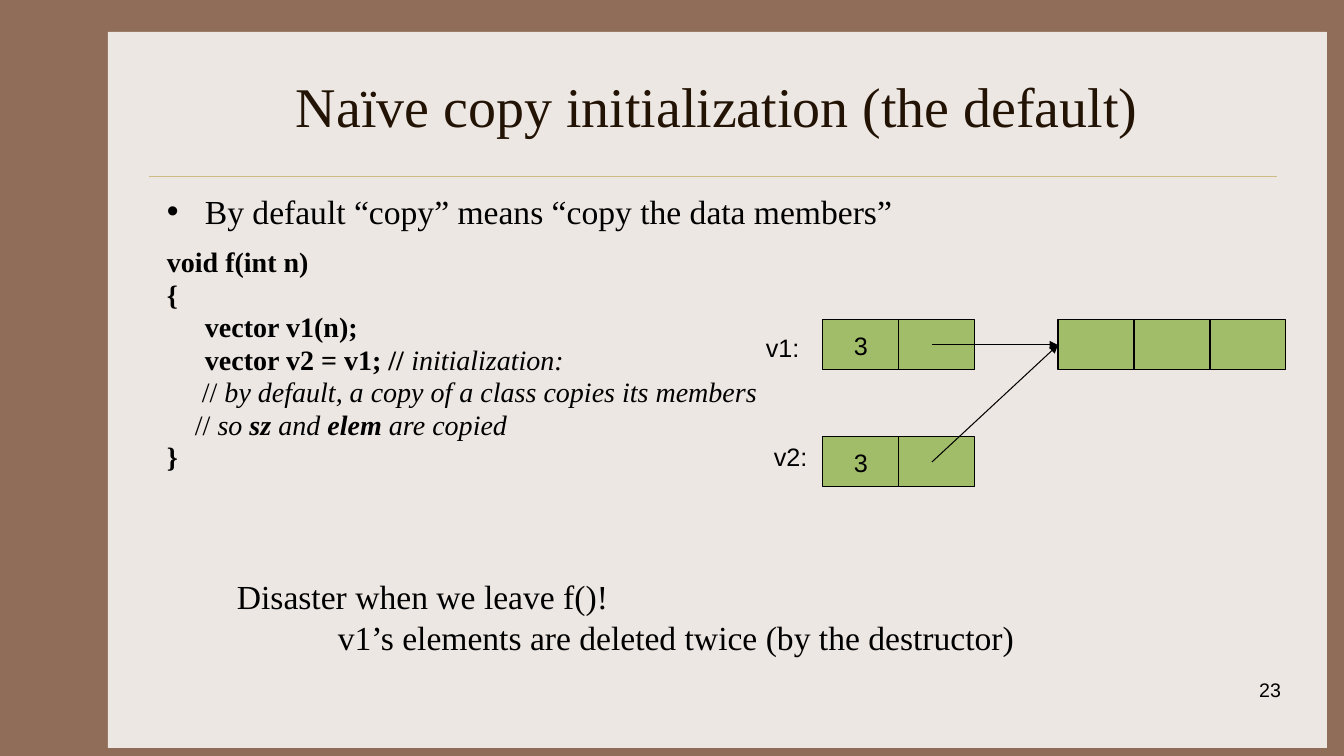
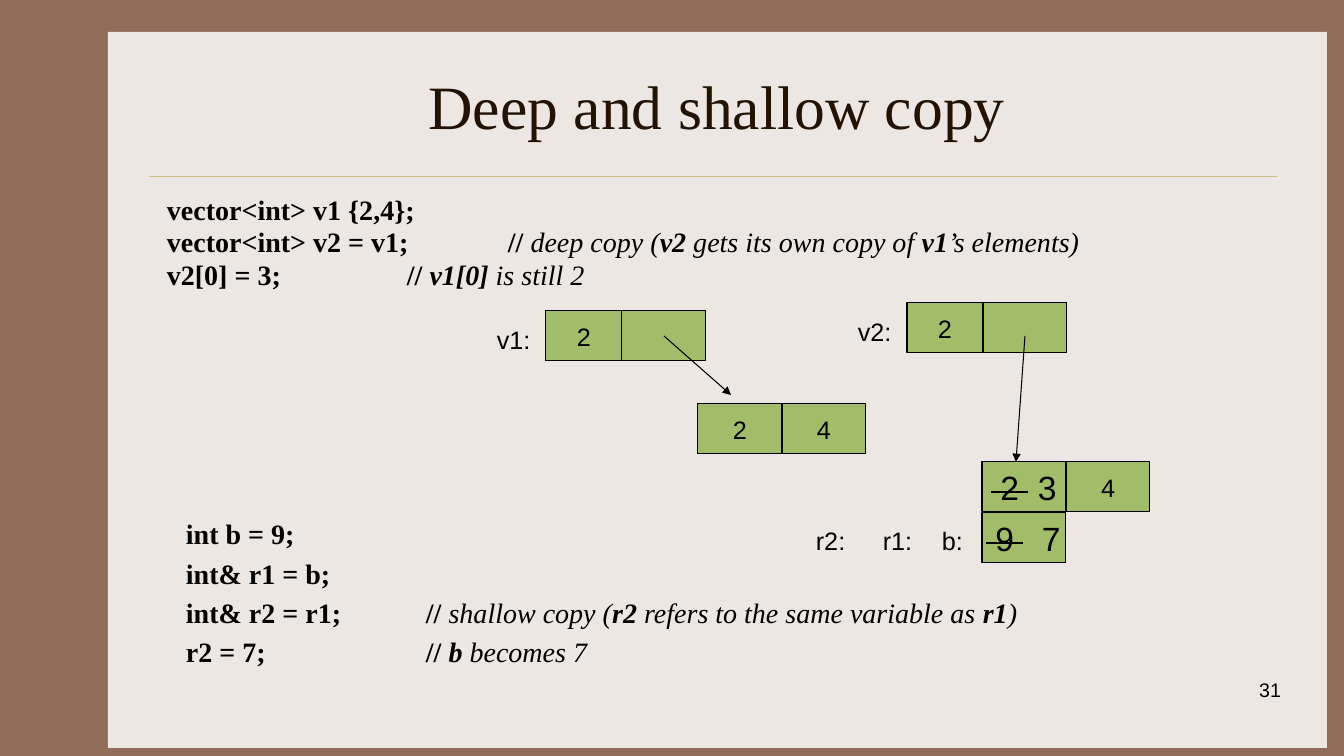
from dataclasses import dataclass

from lxml.etree import SubElement
from pptx import Presentation
from pptx.dml.color import RGBColor
from pptx.enum.shapes import MSO_CONNECTOR as Connector, MSO_SHAPE as Shape
from pptx.enum.text import MSO_ANCHOR as Anchor, PP_ALIGN as Align
from pptx.oxml.ns import qn
from pptx.util import Emu, Pt

SCALE = 914400 / 100.8
COLORS = {
    "frame": "906D58",
    "panel": "EDE7E3",
    "rule": "CBBD83",
    "title": "221304",
    "text": "000000",
    "cell": "A1BD69",
}
SERIF, SANS = "Times New Roman", "Arial"
CELL_W, WIDE_W, CELL_H = 76, 84, 50
BODY = (157, 194, 1120, 454)
HANG, CODE_TAB, CODE_GAP = 38, 101, 4


@dataclass
class Line:
    """One paragraph; each run is a text and its style letters (b, i, s)."""
    runs: list
    size: int = 20
    font: str = SERIF
    color: str = "text"
    align: Align = Align.LEFT
    indent: int = 0
    hang: int = 0
    tab: int = CODE_TAB
    before: float = 0
    spacing: float = 1
    bullet: str = ""


def px(length):
    return Emu(round(length * SCALE))


def rgb(name):
    return RGBColor.from_string(COLORS[name])


# Text
def write_line(paragraph, line):
    paragraph.alignment = line.align
    paragraph.line_spacing = line.spacing
    paragraph.space_before = Pt(line.before)
    for text, style in line.runs:
        run = paragraph.add_run()
        run.text = text
        font = run.font
        font.name, font.size = line.font, Pt(line.size)
        font.bold, font.italic = "b" in style, "i" in style
        font.color.rgb = rgb(line.color)
        if "s" in style:
            run._r.get_or_add_rPr().set("strike", "sngStrike")
    props = paragraph._p.get_or_add_pPr()
    props.set("marL", str(px(line.indent + line.hang)))
    props.set("indent", str(px(-line.hang)))
    props.set("defTabSz", str(px(line.tab)))
    if line.bullet:
        SubElement(props, qn("a:buFont"), typeface=SANS)
        SubElement(props, qn("a:buChar"), char=line.bullet)


def write_lines(frame, lines):
    for number, line in enumerate(lines):
        paragraph = frame.add_paragraph() if number else frame.paragraphs[0]
        write_line(paragraph, line)


def add_text(slide, box, lines, anchor=Anchor.TOP):
    frame = slide.shapes.add_textbox(*map(px, box)).text_frame
    frame.word_wrap = True
    frame.vertical_anchor = anchor
    write_lines(frame, lines)


def add_label(slide, left, top, name):
    add_text(slide, (left, top, 67, 40), [Line([(name, "")], 18, SANS)])


# Shapes
def add_rect(slide, box, fill, outlined=False):
    rect = slide.shapes.add_shape(Shape.RECTANGLE, *map(px, box))
    rect.shadow.inherit = False
    rect.fill.solid()
    rect.fill.fore_color.rgb = rgb(fill)
    if outlined:
        rect.line.color.rgb = rgb("text")
        rect.line.width = Pt(0.75)
    else:
        rect.line.fill.background()
    return rect


def add_line(slide, start, end, color="text", width=0.75, arrow=True):
    line = slide.shapes.add_connector(
        Connector.STRAIGHT, *map(px, (*start, *end)))
    line.line.color.rgb = rgb(color)
    line.line.width = Pt(width)
    if arrow:
        SubElement(line.line._get_or_add_ln(), qn("a:tailEnd"), type="triangle")
    SubElement(line._element.spPr, qn("a:effectLst"))


def add_cell(slide, left, top, width):
    """One memory cell; returns its text frame."""
    cell = add_rect(slide, (left, top, width, CELL_H), "cell", True)
    frame = cell.text_frame
    frame.word_wrap = False
    frame.vertical_anchor = Anchor.MIDDLE
    return frame


def add_cells(slide, left, top, widths, values):
    """A row of touching memory cells, from left to right."""
    for width, value in zip(widths, values):
        frame = add_cell(slide, left, top, width)
        if value:
            write_lines(frame, [Line([(value, "")], 18, SANS, align=Align.CENTER)])
        left += width


def add_replaced_cell(slide, left, top, old, new, inset, tab):
    """A cell whose old value is struck out, next to the new one."""
    frame = add_cell(slide, left, top, WIDE_W)
    frame.margin_left, frame.margin_right = px(inset), 0
    runs = [(f" {old} ", "s"), (f"\t{new}", "")]
    write_lines(frame, [Line(runs, 24, SANS, tab=tab)])


# Shared slide frame
def add_slide(deck, title, title_size, number):
    slide = deck.slides.add_slide(deck.slide_layouts[6])
    slide.background.fill.solid()
    slide.background.fill.fore_color.rgb = rgb("frame")
    add_rect(slide, (108, 32, 1219, 716), "panel")
    add_line(slide, (149, 176), (1277, 176), "rule", 0.25, arrow=False)
    heading = Line([(title, "")], title_size, color="title", align=Align.CENTER)
    add_text(slide, (157, 42, 1120, 126), [heading], Anchor.MIDDLE)
    add_text(slide, (1011, 673, 280, 50),
             [Line([(number, "")], 14, SANS, align=Align.RIGHT)])
    return slide


# Naïve copy: both vectors point at the same elements
def add_shared_elements(slide, left, top):
    second = top + 117
    elements = left + 235
    target = (elements, top + 25)
    add_cells(slide, elements, top, [CELL_W] * 3, [""] * 3)
    for name, row, label_left, label_top in (
            ("v1:", top, left - 67, top + 7),
            ("v2:", second, left - 59, second - 1)):
        add_cells(slide, left, row, [CELL_W] * 2, ["3", ""])
        add_label(slide, label_left, label_top, name)
        add_line(slide, (left + 109, row + 25), target)


def build_naive_copy(deck):
    slide = add_slide(deck, "Naïve copy initialization (the default)", 40, "23")
    code = [
        ([("void f(int n)", "b")], 0, 14.4),
        ([("{", "b")], 0, CODE_GAP),
        ([("vector v1(n);", "b")], 38, CODE_GAP),
        ([("vector v2 = v1; // ", "b"), ("initialization:", "i")], 38, CODE_GAP),
        ([("// ", ""), ("by default, a copy of a class copies its members", "i")],
         35, CODE_GAP),
        ([("// ", ""), ("so ", "i"), ("sz", "bi"), (" and ", "i"),
          ("elem ", "bi"), ("are copied", "i")], 28, CODE_GAP),
        ([("}", "b")], 0, CODE_GAP),
    ]
    lead = Line([("By default “copy” means “copy the data members”", "")], 24,
                hang=HANG, spacing=0.8, bullet="•")
    add_text(slide, BODY, [lead] + [
        Line(runs, indent=indent, before=before, spacing=0.8)
        for runs, indent, before in code])
    add_shared_elements(slide, 823, 320)
    add_text(slide, (227, 571, 806, 92), [
        Line([("Disaster when we leave f()!", "")], 24),
        Line([("v1’s elements are deleted twice (by the destructor)", "")], 24,
             indent=101, before=0.8),
    ])


# Deep copy: each vector has its own elements
def add_vector(slide, left, top, name):
    add_cells(slide, left, top, [CELL_W, WIDE_W], ["2", ""])
    add_label(slide, left - 59, top + 8, name)


def add_deep_copy(slide, left, top):
    add_vector(slide, left, top + 8, "v1:")
    add_cells(slide, left + 152, top + 101, [WIDE_W] * 2, ["2", "4"])
    add_line(slide, (left + 118, top + 33), (left + 185, top + 92))

    add_vector(slide, left + 361, top, "v2:")
    copied = left + 436
    add_replaced_cell(slide, copied, top + 159, "2", "3", 9, 47)
    add_cells(slide, copied + WIDE_W, top + 159, [WIDE_W], ["4"])
    add_line(slide, (left + 479, top + 33), (left + 470, top + 159))


# Shallow copy: three names for one variable
def add_shallow_copy(slide, left, top):
    add_replaced_cell(slide, left, top, "9", "7", 4, 56)
    for name, offset in (("r2:", 176), ("r1:", 109), ("b:", 50)):
        add_label(slide, left - offset, top + 7, name)


def add_code(slide, box, code, spacing):
    add_text(slide, box, [
        Line(runs, hang=HANG, before=CODE_GAP if number else 0, spacing=spacing)
        for number, runs in enumerate(code)])


def build_deep_and_shallow(deck):
    slide = add_slide(deck, "Deep and shallow copy", 44, "31")
    add_code(slide, BODY, [
        [("vector<int> v1 {2,4};", "b")],
        [("vector<int> v2 = v1;\t// ", "b"), ("deep copy (", "i"), ("v2", "bi"),
         (" gets its own copy of ", "i"), ("v1", "bi"), ("’s elements)", "i")],
        [("v2[0] = 3;\t\t// ", "b"), ("v1[0] ", "bi"), ("is still 2", "i")],
    ], 0.8)
    add_deep_copy(slide, 546, 303)

    add_code(slide, (176, 512, 907, 184), [
        [("int b = 9;", "b")],
        [("int& r1 = b;", "b")],
        [("int& r2 = r1;\t// ", "b"), ("shallow copy (", "i"), ("r2 ", "bi"),
         ("refers to the same variable as", "i"), (" r1", "bi"), (")", "i")],
        [("r2 = 7;\t\t// ", "b"), ("b ", "bi"), ("becomes 7", "i")],
    ], 1)
    add_shallow_copy(slide, 982, 513)


def main():
    deck = Presentation()
    deck.slide_width, deck.slide_height = px(1344), px(756)
    build_naive_copy(deck)
    build_deep_and_shallow(deck)
    deck.save("out.pptx")


if __name__ == "__main__":
    main()
